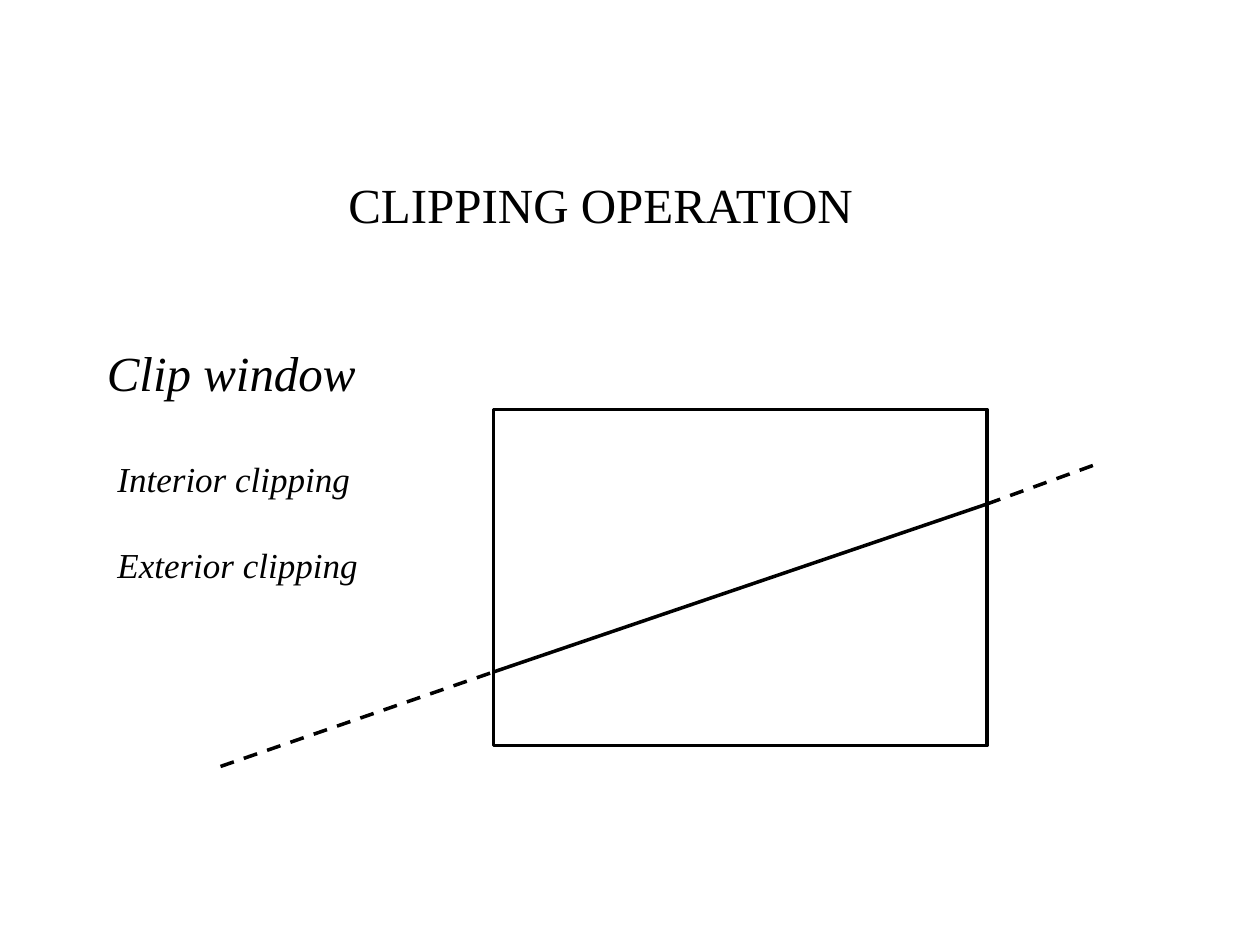
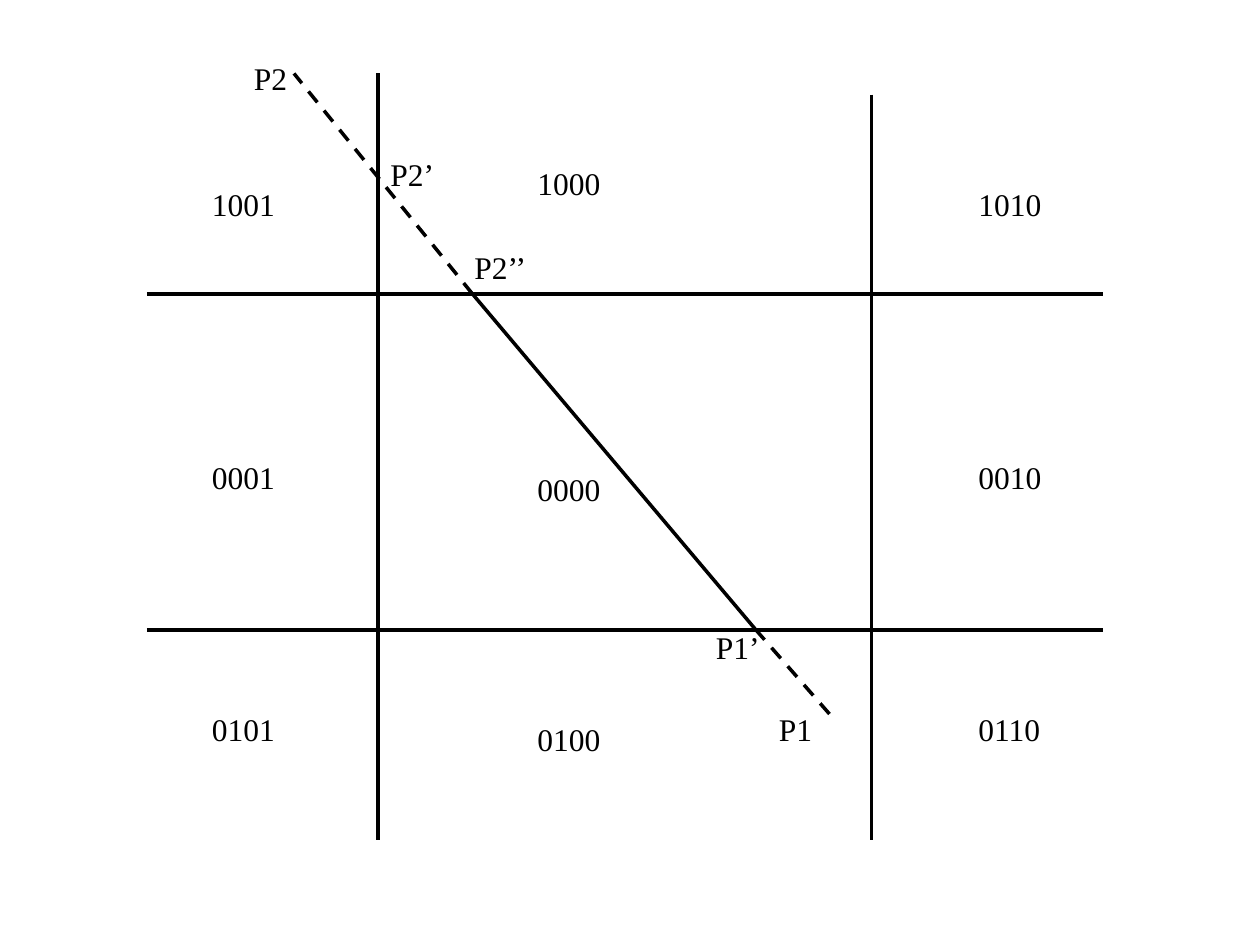
from itertools import pairwise
from lxml import etree
from pptx import Presentation
from pptx.dml.color import RGBColor
from pptx.enum.dml import MSO_LINE_DASH_STYLE as Dash
from pptx.enum.shapes import MSO_CONNECTOR as Link, MSO_SHAPE as Form
from pptx.enum.text import MSO_AUTO_SIZE as Fit
from pptx.oxml.ns import qn
from pptx.util import Inches, Pt

INK = "000000"
FONT = "Times New Roman"
COLS, ROWS = 120, 90

deck = Presentation()
deck.slide_width, deck.slide_height = Inches(10), Inches(7.5)


def tint(code):
    """Turn a hex string into a colour."""
    return RGBColor.from_string(code)


def col(n):
    """Give the length of n grid columns."""
    return round(deck.slide_width * n / COLS)


def row(n):
    """Give the length of n grid rows."""
    return round(deck.slide_height * n / ROWS)


def ink(line):
    """Style an outline or a line."""
    line.color.rgb = tint(INK)
    line.width = Pt(2)


def text(slide, box, lines, size, slant=False, gap=0):
    """Write lines of text in a box, with a gap in points between them."""
    x, y, w, h = box
    frame = slide.shapes.add_textbox(col(x), row(y), col(w), row(h)).text_frame
    frame.word_wrap = True
    frame.auto_size = Fit.SHAPE_TO_FIT_TEXT
    frame.text = "\n".join(lines)
    for i, para in enumerate(frame.paragraphs):
        font = para.font
        font.name, font.size, font.italic = FONT, Pt(size), slant
        font.color.rgb = tint(INK)
        para.space_before = Pt(gap if i else 0)


def stroke(slide, box, start, end, dash=False):
    """Draw a line between two points measured from the box corner."""
    x, y = box[:2]
    line = slide.shapes.add_connector(
        Link.STRAIGHT, col(x + start[0]), row(y + start[1]),
        col(x + end[0]), row(y + end[1]))
    ink(line.line)
    if dash:
        line.line.dash_style = Dash.DASH
    etree.SubElement(line._element.spPr, qn("a:effectLst"))


def window(slide, box, points):
    """Draw the clip window and a line that is dashed outside it."""
    x, y, w, h = box
    pane = slide.shapes.add_shape(Form.RECTANGLE, col(x), row(y), col(w), row(h))
    pane.shadow.inherit = False
    pane.fill.background()
    ink(pane.line)
    for (start, end), dash in zip(pairwise(points), (True, False, True)):
        stroke(slide, box, start, end, dash)


def borders(slide, box):
    """Extend the window edges across the slide."""
    w, h = box[2:]
    for x, top in ((0, -21), (w, -19)):
        stroke(slide, box, (x, top), (x, 52))
    for y in (0, h):
        stroke(slide, box, (-22, y), (69, y))


def codes(slide, box):
    """Label the nine regions with row bits and column bits."""
    x, y = box[:2]
    sides = (-11, 15, 39)
    centre = (-13, 16.2, 40)
    for dx, low, tops in ((-17, "01", sides), (14, "00", centre), (56, "10", sides)):
        for dy, high in zip(tops, ("10", "00", "01")):
            text(slide, (x + dx, y + dy, 12, 4.8), [high + low], 18)


def marks(slide, box):
    """Name the end points and the crossing points."""
    x, y = box[:2]
    spots = {"P2": (-13, -23), "P2’": (0, -13.8), "P2’’": (8, -5),
             "P1": (37, 39), "P1’": (31, 31.2)}
    for name, (dx, dy) in spots.items():
        text(slide, (x + dx, y + dy, 8, 4.8), [name], 18)


def intro(slide, box):
    """Build the slide on the clipping operation."""
    text(slide, (32, 16, 56, 6.8), ["CLIPPING OPERATION"], 28)
    text(slide, (9, 32, 30, 6.8), ["Clip window"], 28, True)
    window(slide, box, ((-26, 34), (0, 25), (47, 9), (58, 5)))
    text(slide, (10, 43, 28, 13.3),
         ["Interior clipping", "Exterior clipping"], 20, True, 25)


def regions(slide, box):
    """Build the slide on region codes."""
    window(slide, box, ((43, 40), (36, 32), (9, 0), (-8, -21)))
    borders(slide, box)
    marks(slide, box)
    codes(slide, box)


for build, box in ((intro, (47, 39, 47, 32)), (regions, (36, 28, 47, 32))):
    build(deck.slides.add_slide(deck.slide_layouts[6]), box)

deck.save("out.pptx")
